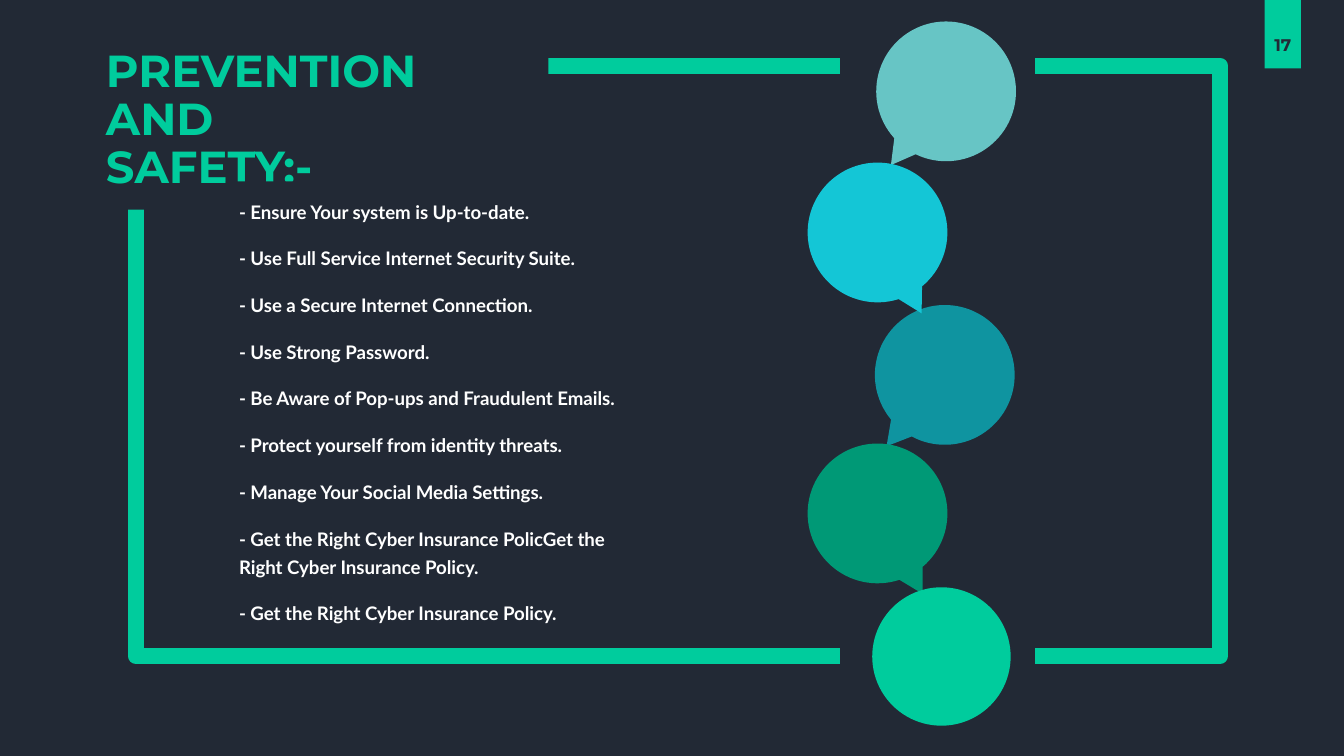
from pptx import Presentation, util as u
from pptx.dml.color import RGBColor
from pptx.enum import shapes, text

COLS = 1000  # the slide is a grid of square cells, 1000 across
WIDTH = u.Inches(10)
HEIGHT = WIDTH * 9 // 16
CELL = WIDTH // COLS

NAVY, GREEN, WHITE = "222935", "00CC9D", "FFFFFF"
RECT = shapes.MSO_SHAPE.RECTANGLE
OVAL = shapes.MSO_SHAPE.OVAL
CALLOUT = shapes.MSO_SHAPE.OVAL_CALLOUT

TITLE = ["PREVENTION AND", "SAFETY:-"]
TIPS = [
    "- Ensure Your system is Up-to-date.",
    "- Use Full Service Internet Security Suite.",
    "- Use a Secure Internet Connection.",
    "- Use Strong Password.",
    "- Be Aware of Pop-ups and Fraudulent Emails.",
    "- Protect yourself from identity threats.",
    "- Manage Your Social Media Settings.",
    "- Get the Right Cyber Insurance PolicGet the Right Cyber Insurance Policy.",
    "- Get the Right Cyber Insurance Policy.",
]
# column, row, size, rotation, colour, kind
BUBBLES = [
    (651, 227, 104, 20.8, "0F94A0", CALLOUT),
    (652, 16, 104, 18.4, "67C5C5", CALLOUT),
    (601, 121, 104, 313, "14C6D6", CALLOUT),
    (601, 330, 104, 312.3, "009976", CALLOUT),
    (649, 437, 103, 0, GREEN, OVAL),
]


def color(value):
    return RGBColor.from_string(value)


def add_shape(parent, kind, col, row, cols, rows, fill=None, line=None, line_pt=0, rotation=0):
    """Add a preset shape placed in grid cells."""
    sp = parent.shapes.add_shape(kind, *(CELL * n for n in (col, row, cols, rows)))
    sp.shadow.inherit = False
    sp.rotation = rotation
    if fill:
        sp.fill.solid()
        sp.fill.fore_color.rgb = color(fill)
    else:
        sp.fill.background()
    if line:
        sp.line.color.rgb = color(line)
        sp.line.width = u.Pt(line_pt)
    else:
        sp.line.fill.background()
    return sp


def write(sp, lines, font, size, fill, insets, anchor=text.MSO_ANCHOR.TOP,
          align=text.PP_ALIGN.LEFT, spacing=1.0, before=0, wrap=True):
    """Write bold paragraphs; insets are left, top, right, bottom in cells."""
    tf = sp.text_frame
    tf.word_wrap = wrap
    tf.vertical_anchor = anchor
    tf.margin_left, tf.margin_top, tf.margin_right, tf.margin_bottom = (
        CELL * n for n in insets)
    for i, line in enumerate(lines):
        p = tf.add_paragraph() if i else tf.paragraphs[0]
        p.alignment = align
        p.line_spacing = spacing
        p.space_before = u.Pt(before)
        r = p.add_run()
        r.text = line
        r.font.name = font
        r.font.size = u.Pt(size)
        r.font.bold = True
        r.font.color.rgb = color(fill)


def add_bubbles(s):
    group = s.shapes.add_group_shape()
    add_shape(group, RECT, 625, 16, 145, 532, fill=NAVY)
    for col, row, size, rotation, fill, kind in BUBBLES:
        add_shape(group, kind, col, row, size, size, fill=fill, rotation=rotation)


def main():
    prs = Presentation()
    prs.slide_width, prs.slide_height = WIDTH, HEIGHT
    s = prs.slides.add_slide(prs.slide_layouts[6])
    s.background.fill.solid()
    s.background.fill.fore_color.rgb = color(NAVY)

    add_shape(s, RECT, 101, 49, 807, 439, line=GREEN, line_pt=8.5)

    page_tab = add_shape(s, RECT, 941, 0, 27, 51, fill=GREEN)
    write(page_tab, ["17"], "Montserrat", 9, NAVY, (10, 5, 10, 10), wrap=False,
          anchor=text.MSO_ANCHOR.BOTTOM, align=text.PP_ALIGN.CENTER)

    title = add_shape(s, RECT, 69, 34, 339, 122, fill=NAVY)
    write(title, TITLE, "Montserrat", 24, GREEN, (10, 20, 30, 30),
          anchor=text.MSO_ANCHOR.MIDDLE, spacing=0.9)

    add_bubbles(s)

    tips = add_shape(s, RECT, 168, 135, 302, 334, fill=NAVY)
    write(tips, TIPS, "Lato", 10, WHITE, (10, 10, 10, 0), spacing=1.25, before=10)

    prs.save("out.pptx")


if __name__ == "__main__":
    main()
